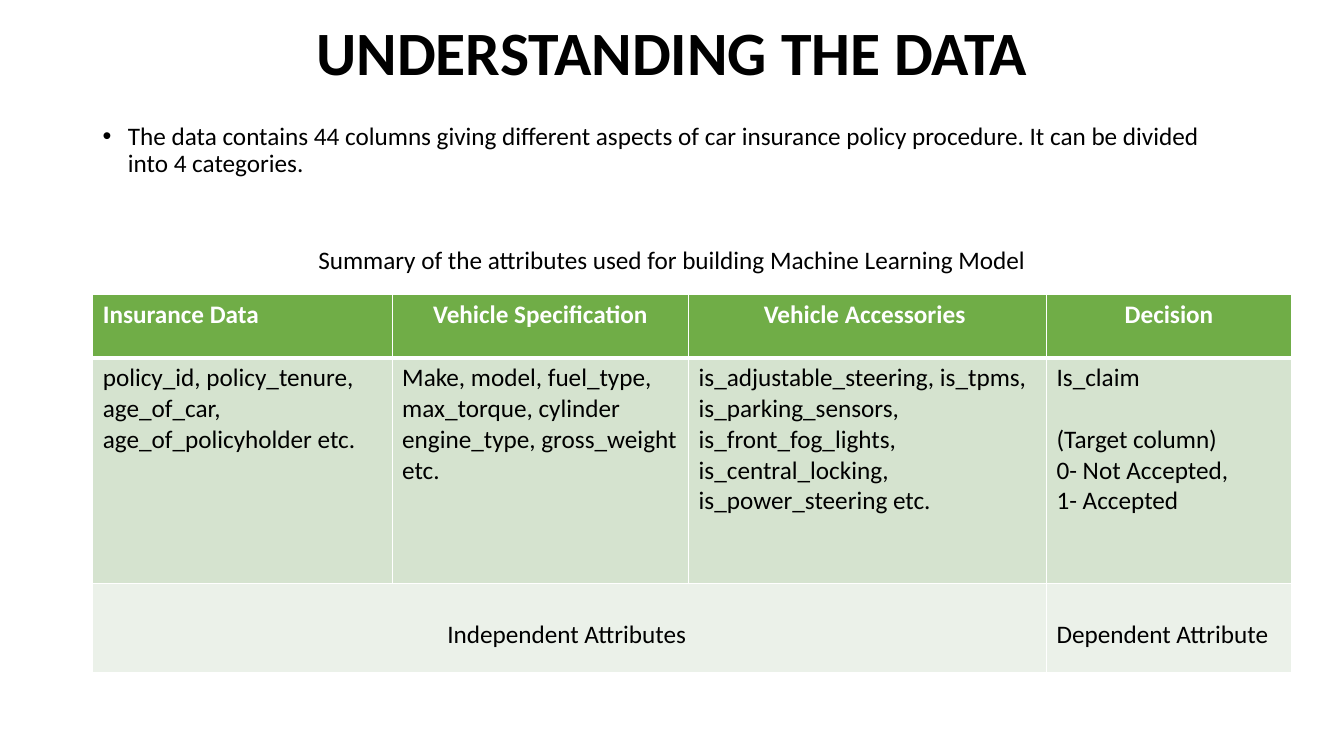
from dataclasses import dataclass

from lxml.etree import SubElement
from pptx import Presentation
from pptx.dml.color import RGBColor
from pptx.enum.text import MSO_ANCHOR, PP_ALIGN
from pptx.oxml.ns import qn
from pptx.table import _Cell
from pptx.text.text import TextFrame, _Paragraph
from pptx.util import Emu, Inches, Pt

WIDE, TALL = Inches(13.33), Inches(7.5)
BLACK = RGBColor(0x00, 0x00, 0x00)
WHITE = RGBColor(0xFF, 0xFF, 0xFF)
GREEN = RGBColor(0x70, 0xAD, 0x47)
SAGE = RGBColor(0xD5, 0xE3, 0xCF)
MIST = RGBColor(0xEB, 0xF1, 0xE9)
LEFT, MID = PP_ALIGN.LEFT, PP_ALIGN.CENTER


def across(share: float) -> Emu:
    """Length as a percentage of the slide's width."""
    return Emu(round(WIDE * share / 100))


def down(share: float) -> Emu:
    """Length as a percentage of the slide's height."""
    return Emu(round(TALL * share / 100))


@dataclass(frozen=True)
class Box:
    """Place on the slide, in percent of its width and height."""
    left: float
    top: float
    width: float
    height: float

    def rect(self) -> tuple[Emu, Emu, Emu, Emu]:
        return across(self.left), down(self.top), across(self.width), down(self.height)


@dataclass(frozen=True)
class Entry:
    text: str
    align: PP_ALIGN = LEFT
    gap: float = 0
    span: int = 1


@dataclass(frozen=True)
class Band:
    """One table row with its shared look."""
    height: float
    fill: RGBColor
    entries: tuple[Entry, ...]
    color: RGBColor = BLACK
    bold: bool = False
    lead: float = 1.0
    top: float = 1
    bottom: float = 1


TITLE = Box(6.9, 0, 86.25, 14.67)
INTRO = Box(6.9, 15.73, 86.25, 23.2)
LABEL = Box(14.55, 31.6, 70.9, 5.33)
TABLE = Box(6.9, 38.93, 89.2, 50)
COLUMNS = (22.28, 22.06, 26.63, 18.23)
BANDS = (
    Band(8.4, GREEN, (
        Entry("Insurance Data"),
        Entry("Vehicle Specification", MID),
        Entry("Vehicle Accessories ", MID),
        Entry("Decision", MID),
    ), color=WHITE, bold=True, bottom=3),
    Band(29.87, SAGE, (
        Entry("policy_id, policy_tenure,\nage_of_car, age_of_policyholder etc."),
        Entry("Make, model, fuel_type, max_torque, cylinder engine_type, gross_weight etc."),
        Entry("is_adjustable_steering, is_tpms, is_parking_sensors, "
              "is_front_fog_lights, is_central_locking,\nis_power_steering etc."),
        Entry("Is_claim\n(Target column)\n0- Not Accepted,\n1- Accepted", gap=22),
    ), top=3),
    Band(11.73, MIST, (
        Entry("Independent Attributes ", MID, span=3),
        Entry("Dependent Attribute"),
    ), lead=2.0),
)


def add_bullet(para: _Paragraph) -> None:
    props = para._p.get_or_add_pPr()
    props.set("marL", str(Inches(0.25)))
    props.set("indent", str(Inches(-0.25)))
    SubElement(props, qn("a:buFont"), typeface="Arial")
    SubElement(props, qn("a:buChar"), char="•")


def write(frame: TextFrame, text: str, *, size: float = 18, color: RGBColor = BLACK,
          bold: bool = False, align: PP_ALIGN = LEFT, lead: float = 1.0,
          gap: float = 0, bullet: bool = False) -> None:
    """Fill a frame, one paragraph a line; gap is the space after the first."""
    frame.word_wrap = True
    for index, line in enumerate(text.split("\n")):
        para = frame.add_paragraph() if index else frame.paragraphs[0]
        if bullet:
            add_bullet(para)
        para.alignment = align
        para.line_spacing = lead
        para.space_before = Pt(gap if index == 1 else 0)
        run = para.add_run()
        run.text = line
        font = run.font
        font.name, font.size, font.bold = "Calibri", Pt(size), bold
        font.color.rgb = color


def add_edges(cell: _Cell, top: float, bottom: float) -> None:
    props = cell._tc.get_or_add_tcPr()
    for side, width in (("L", 1), ("R", 1), ("T", top), ("B", bottom)):
        edge = SubElement(props, qn(f"a:ln{side}"), w=str(Pt(width)))
        fill = SubElement(edge, qn("a:solidFill"))
        SubElement(fill, qn("a:srgbClr"), val=str(WHITE))


def add_grid(slide) -> None:
    table = slide.shapes.add_table(len(BANDS), len(COLUMNS), *TABLE.rect()).table
    table.horz_banding = table.first_row = False
    for column, share in zip(table.columns, COLUMNS):
        column.width = across(share)
    for row, band in enumerate(BANDS):
        table.rows[row].height = down(band.height)
        for cell in table.rows[row].cells:
            add_edges(cell, band.top, band.bottom)
            cell.fill.solid()
            cell.fill.fore_color.rgb = band.fill
        col = 0
        for entry in band.entries:
            cell = table.cell(row, col)
            if entry.span > 1:
                cell.merge(table.cell(row, col + entry.span - 1))
            write(cell.text_frame, entry.text, color=band.color, bold=band.bold,
                  align=entry.align, lead=band.lead, gap=entry.gap)
            col += entry.span


def add_text(slide, box: Box, text: str, **style) -> None:
    write(slide.shapes.add_textbox(*box.rect()).text_frame, text, **style)


def main() -> None:
    deck = Presentation()
    deck.slide_width, deck.slide_height = WIDE, TALL
    slide = deck.slides.add_slide(deck.slide_layouts[5])
    title = slide.shapes.title
    title.left, title.top, title.width, title.height = TITLE.rect()
    title.text_frame.vertical_anchor = MSO_ANCHOR.MIDDLE
    write(title.text_frame, "UNDERSTANDING THE DATA", size=44, bold=True,
          align=MID, lead=0.9)
    add_text(slide, INTRO, "The data contains 44 columns giving different aspects of car "
             "insurance policy procedure. It can be divided into 4 categories.",
             lead=0.9, bullet=True)
    add_grid(slide)
    add_text(slide, LABEL, "Summary of the attributes used for building "
             "Machine Learning Model", align=MID)
    deck.save("out.pptx")


if __name__ == "__main__":
    main()
